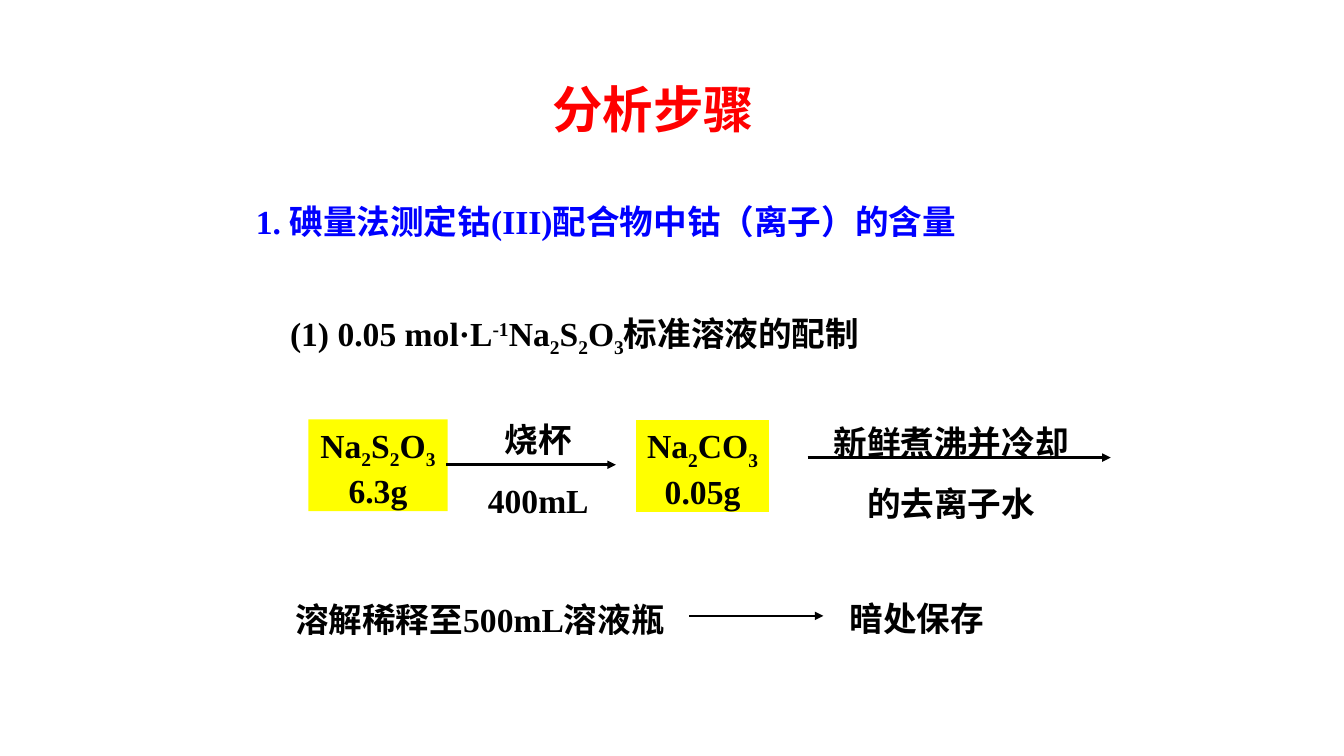
from dataclasses import dataclass

from lxml.etree import SubElement
from pptx import Presentation
from pptx.dml.color import RGBColor
from pptx.enum.shapes import MSO_CONNECTOR, MSO_SHAPE
from pptx.enum.text import MSO_ANCHOR, MSO_AUTO_SIZE, PP_ALIGN
from pptx.oxml.ns import qn
from pptx.slide import Slide
from pptx.util import Cm, Pt

HUES = {"red": "FF0000", "blue": "0000FF", "black": "000000", "yellow": "FFFF00"}
HAN = "Noto Sans CJK SC"
ROMAN = "Times New Roman"
SHIFTS = {"_": "-25000", "^": "30000"}


@dataclass
class Label:
    left: float
    top: float
    width: float
    height: float
    lines: list[str]
    hue: str = "black"
    face: str = ROMAN
    size: int = 24
    center: bool = False
    wrap: bool = True
    space: float = 1.0
    fill: str = ""


@dataclass
class Arrow:
    start: float
    end: float
    top: float


TITLE = Label(13.67, 1.83, 7.14, 1.78, ["分析步骤"], "red", HAN, 36)

LABELS = [
    Label(7.06, 7.75, 14.99, 1.27, ["(1) 0.05 mol·L|^-1|Na|_2|S|_2|O|_3|标准溶液的配制"]),
    Label(7.77, 10.57, 3.51, 2.31, ["Na|_2|S|_2|O|_3", "6.3g"],
          center=True, wrap=False, fill="yellow"),
    Label(12.04, 9.93, 3.05, 3.33, ["烧杯", "400mL"],
          center=True, wrap=False, space=1.5),
    Label(16.03, 10.59, 3.35, 2.31, ["Na|_2|CO|_3", "0.05g"],
          center=True, wrap=False, fill="yellow"),
    Label(20.4, 10.01, 7.14, 3.33, ["新鲜煮沸并冷却的去离子水"],
          face=HAN, center=True, space=1.5),
    Label(7.19, 14.96, 12.24, 1.27, ["溶解稀释至500mL溶液瓶"]),
    Label(21.16, 14.94, 3.89, 1.27, ["暗处保存"], center=True, wrap=False),
    Label(6.2, 4.93, 18.16, 1.27, ["1. 碘量法测定钴(III)配合物中钴（离子）的含量"], "blue"),
]

ARROWS = [
    Arrow(11.25, 15.52, 11.71),
    Arrow(20.35, 27.99, 11.53),
    Arrow(17.37, 20.75, 15.52),
]


def tint(name: str) -> RGBColor:
    return RGBColor.from_string(HUES[name])


def write(shape, label: Label) -> None:
    frame = shape.text_frame
    frame.word_wrap = label.wrap
    frame.auto_size = MSO_AUTO_SIZE.SHAPE_TO_FIT_TEXT
    frame.vertical_anchor = MSO_ANCHOR.TOP
    for rank, line in enumerate(label.lines):
        para = frame.add_paragraph() if rank else frame.paragraphs[0]
        para.alignment = PP_ALIGN.CENTER if label.center else PP_ALIGN.LEFT
        para.line_spacing = label.space
        font = para.font
        font.name, font.size, font.bold = label.face, Pt(label.size), True
        font.color.rgb = tint(label.hue)
        latin = para._p.pPr.find(".//" + qn("a:latin"))
        SubElement(latin.getparent(), qn("a:ea"), typeface=HAN)
        for part in line.split("|"):
            run = para.add_run()
            shift = SHIFTS.get(part[0])
            run.text = part[1:] if shift else part
            if shift:
                run._r.get_or_add_rPr().set("baseline", shift)


def place(slide: Slide, label: Label) -> None:
    area = [Cm(n) for n in (label.left, label.top, label.width, label.height)]
    if label.fill:
        shape = slide.shapes.add_shape(MSO_SHAPE.RECTANGLE, *area)
        shape.shadow.inherit = False
        shape.fill.solid()
        shape.fill.fore_color.rgb = tint(label.fill)
        shape.line.fill.background()
    else:
        shape = slide.shapes.add_textbox(*area)
    write(shape, label)


def draw(slide: Slide, arrow: Arrow) -> None:
    link = slide.shapes.add_connector(
        MSO_CONNECTOR.STRAIGHT,
        Cm(arrow.start), Cm(arrow.top), Cm(arrow.end), Cm(arrow.top),
    )
    link.line.width = Pt(2)
    link.line.color.rgb = tint("black")
    SubElement(link.line._get_or_add_ln(), qn("a:tailEnd"), type="triangle")
    SubElement(link._element.spPr, qn("a:effectLst"))


def main() -> None:
    deck = Presentation()
    deck.slide_width, deck.slide_height = Cm(33.87), Cm(19.05)
    slide = deck.slides.add_slide(deck.slide_layouts[5])
    title = slide.shapes.title
    title.left, title.top = Cm(TITLE.left), Cm(TITLE.top)
    title.width, title.height = Cm(TITLE.width), Cm(TITLE.height)
    write(title, TITLE)
    for label in LABELS:
        place(slide, label)
    for arrow in ARROWS:
        draw(slide, arrow)
    deck.save("out.pptx")


if __name__ == "__main__":
    main()
